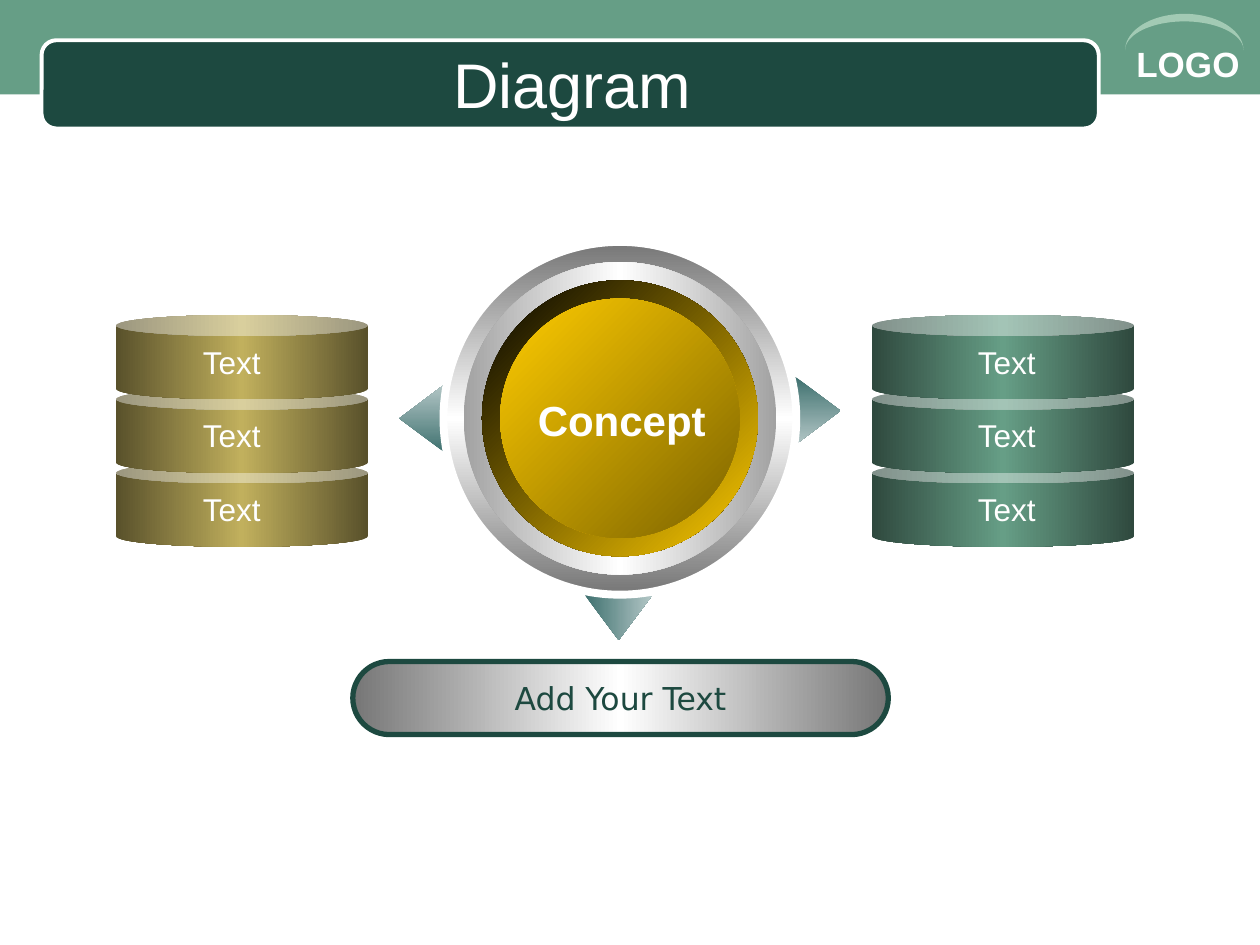
from math import cos, pi, sin

from lxml import etree
from pptx import Presentation
from pptx.dml.color import RGBColor
from pptx.enum.shapes import MSO_SHAPE
from pptx.enum.text import MSO_ANCHOR, PP_ALIGN
from pptx.oxml.ns import qn
from pptx.util import Inches, Pt

RECT, ROUND = MSO_SHAPE.RECTANGLE, MSO_SHAPE.ROUNDED_RECTANGLE
OVAL, CAN, ARROW = MSO_SHAPE.OVAL, MSO_SHAPE.CAN, MSO_SHAPE.UP_ARROW
LEFT, CENTER, MIDDLE, TOP = PP_ALIGN.LEFT, PP_ALIGN.CENTER, MSO_ANCHOR.MIDDLE, MSO_ANCHOR.TOP

THEME = {
    "white": "FFFFFF", "green": "669E86", "dark": "1D4940", "pale": "A2CAB4",
    "steel": ("767676", "FFFFFF", "767676"), "silver": ("A2A2A2", "FFFFFF", "A2A2A2"),
    "rim": ("000000", "FFCC00"), "gold": ("FFCC00", "7C6300"),
    "olive": ("59512B", "C1B05D", "59512B"), "moss": ("2F493E", "669E86", "2F493E"),
    "teal": ("3F716F", "B4C7C7"),
    "font": "Arial", "alt": "DejaVu Sans",
    "title": 36, "hub": 24, "logo": 20, "body": 18,
}

# Content
TITLE, LOGO, HUB, BASE = "Diagram", "LOGO", "Concept", "Add Your Text"
STACKS = [  # left, width, text centre, colour, labels from top to bottom
    (0.92, 2, 1.84, "olive", ["Text", "Text", "Text"]),
    (6.92, 2.08, 7.99, "moss", ["Text", "Text", "Text"]),
]
RINGS = [(2.8, "steel", 90), (2.48, "silver", 0), (2.19, "rim", 45), (1.9, "gold", 45)]
ARROWS = [  # left, top, turn, gradient angle
    (3.08, 3.14, 270, 270), (6.22, 3.08, 90, 90), (4.64, 4.72, 180, 0),
]

# Layout in inches
WIDE, HIGH = 10, 7.5
HUB_X, HUB_Y = 4.92, 3.32
STACK_TOP, CAN_H, STEP = 2.5, 0.67, 0.585
ARC_X, ARC_Y, ARC_R, ARC_OUT, ARC_IN = 9.4, 0.4, 0.47, 0.29, 0.23

deck = Presentation()
deck.slide_width, deck.slide_height = Inches(WIDE), Inches(HIGH)
slide = deck.slides.add_slide(deck.slide_layouts[6])
shapes = slide.shapes


def color(name):
    return RGBColor.from_string(THEME[name])


def blend(shape, stops, angle):
    """Fill with evenly spaced colours that keep their angle when turned."""
    shape.fill.gradient()
    grad = shape._element.spPr.find(qn("a:gradFill"))
    grad.set("rotWithShape", "0")
    row = grad.find(qn("a:gsLst"))
    for stop in list(row):
        row.remove(stop)
    for i, tone in enumerate(stops):
        stop = etree.SubElement(row, qn("a:gs"), pos=str(100000 * i // (len(stops) - 1)))
        etree.SubElement(stop, qn("a:srgbClr"), val=tone)
    grad.find(qn("a:lin")).set("ang", str(angle * 60000))


def paint(shape, fill, angle=0, line=None, width=0):
    shape.shadow.inherit = False
    if isinstance(THEME[fill], tuple):
        blend(shape, THEME[fill], angle)
    else:
        shape.fill.solid()
        shape.fill.fore_color.rgb = color(fill)
    if line:
        shape.line.color.rgb = color(line)
        shape.line.width = Pt(width)
    else:
        shape.line.fill.background()


def draw(kind, box, fill, angle=0, line=None, width=0, adj=()):
    shape = shapes.add_shape(kind, *map(Inches, box))
    for i, share in enumerate(adj):
        shape.adjustments[i] = share
    paint(shape, fill, angle, line, width)
    return shape


def write(shape, words, size, tone="white", font="font", bold=False,
          align=CENTER, anchor=TOP, wrap=False):
    frame = shape.text_frame
    frame.word_wrap, frame.vertical_anchor = wrap, anchor
    para = frame.paragraphs[0]
    para.alignment = align
    run = para.add_run()
    run.text = words
    run.font.name, run.font.size = THEME[font], Pt(THEME[size])
    run.font.bold, run.font.color.rgb = bold, color(tone)


def label(box, *args, **style):
    write(shapes.add_textbox(*map(Inches, box)), *args, **style)


def bow(rise, side):
    """Points of a half ellipse over the corner mark, starting on one side."""
    turns = [pi * i / 40 for i in range(41)]
    return [(Inches(ARC_X + side * ARC_R * cos(t)), Inches(ARC_Y - rise * sin(t)))
            for t in turns]


# Header band, title bar and corner mark
draw(RECT, (0, 0, WIDE, 0.75), "green")
draw(ROUND, (0.33, 0.32, 8.39, 0.7), "dark", line="white", width=2.25, adj=[0.167])
label((8.92, 0.29, 1.08, 0.44), LOGO, "logo", bold=True, align=LEFT)
edge = bow(ARC_OUT, 1) + bow(ARC_IN, -1)
pen = shapes.build_freeform(*edge[0])
pen.add_line_segments(edge[1:], close=True)
paint(pen.convert_to_shape(), "pale")
label((0.5, 0.35, 8.08, 0.62), TITLE, "title", anchor=MIDDLE, wrap=True)

# Arrows, tucked under the hub's white outline
for x, y, turn, angle in ARROWS:
    draw(ARROW, (x, y, 0.54, 0.36), "teal", angle, adj=[0.517, 1]).rotation = turn

# Hub of concentric rings
for i, (size, fill, angle) in enumerate(RINGS):
    box = (HUB_X - size / 2, HUB_Y - size / 2, size, size)
    draw(OVAL, box, fill, angle, line=None if i else "white", width=4.5)
label((4.17, 3.08, 1.53, 0.5), HUB, "hub", bold=True)

# Stacks, drawn upward so that each can overlaps the one below
for x, width, mid, fill, names in STACKS:
    for i, name in reversed(list(enumerate(names))):
        y = STACK_TOP + i * STEP
        draw(CAN, (x, y, width, CAN_H), fill, adj=[0.25])
        label((mid - 0.34, y + 0.17, 0.68, 0.4), name, "body")

# Base pill
pill = draw(ROUND, (2.8, 5.25, 4.25, 0.58), "steel", line="dark", width=3, adj=[0.5])
write(pill, BASE, "body", tone="dark", font="alt", anchor=MIDDLE)

deck.save("out.pptx")
